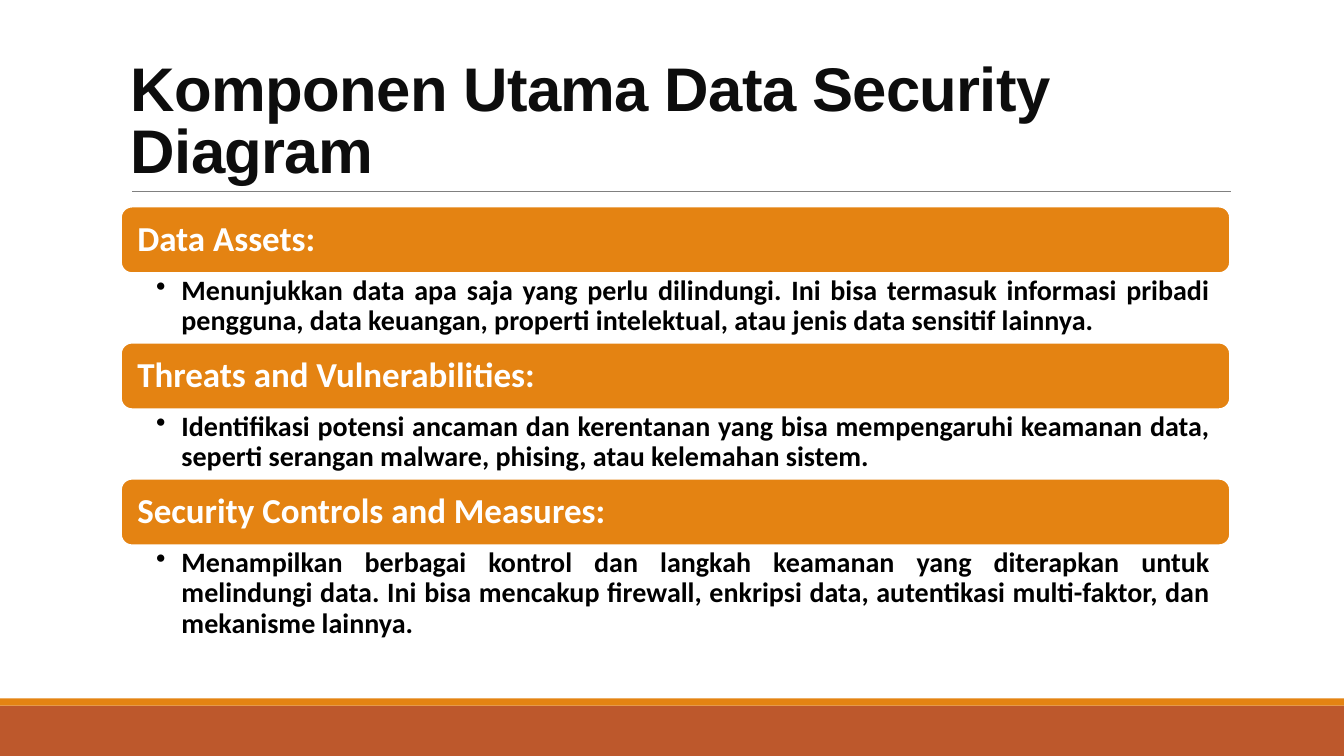
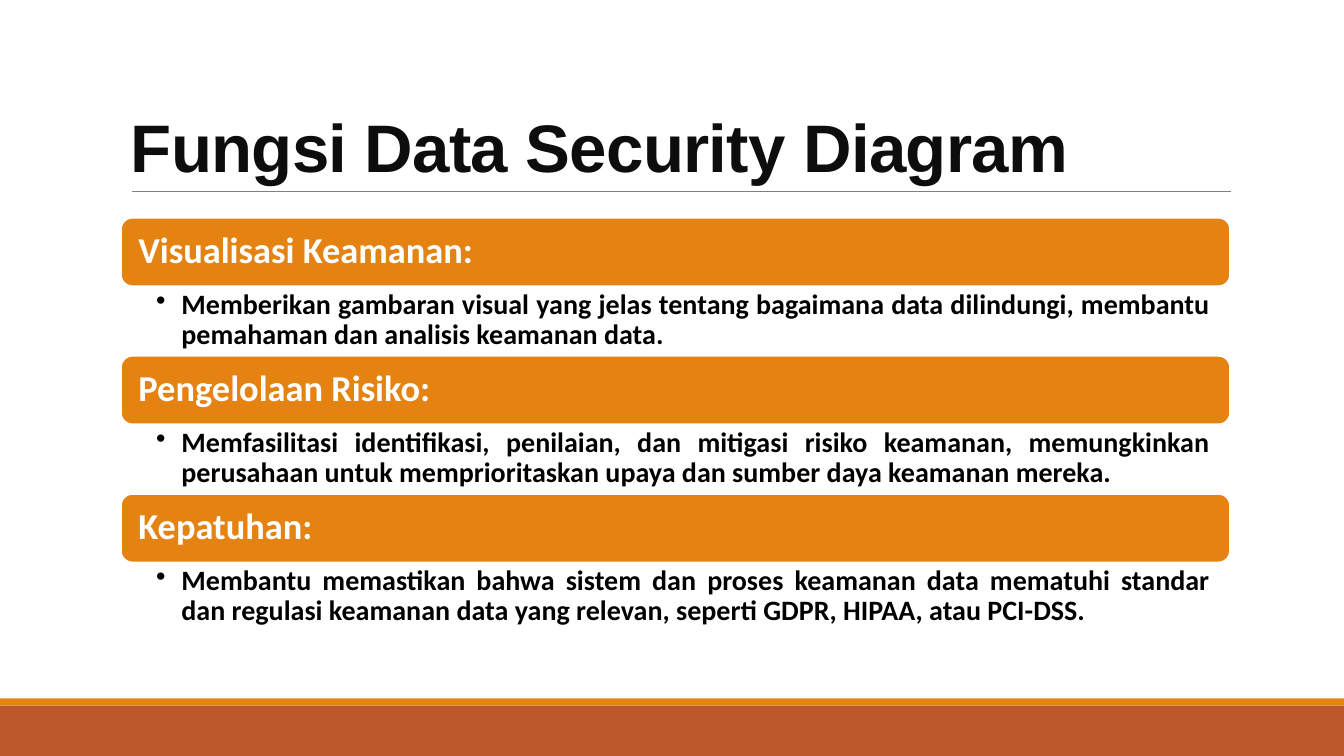
from lxml.etree import SubElement
from pptx import Presentation
from pptx.dml.color import RGBColor
from pptx.enum.shapes import MSO_CONNECTOR, MSO_SHAPE
from pptx.enum.text import MSO_ANCHOR, PP_ALIGN
from pptx.oxml.ns import qn
from pptx.util import Inches, Pt

COLORS = {
    "rust": "BD582C",
    "orange": "E48312",
    "rule": "808080",
    "title": "0D0D0D",
    "text": "000000",
    "white": "FFFFFF",
}
LEFT, WIDTH = 1.2, 11
LINE = 0.3  # height of one line of body text
PAD = 0.09  # body height beyond its lines


def rgb(name):
    return RGBColor.from_string(COLORS[name])


class Deck:
    """Holds the shared style and the current slide."""

    def __init__(self):
        self.prs = Presentation()
        self.prs.slide_width = Inches(13.33)
        self.prs.slide_height = Inches(7.5)
        self.slide = None

    def start(self, title, size):
        """Adds a slide with its bands, rule and title."""
        self.slide = self.prs.slides.add_slide(self.prs.slide_layouts[6])
        self.block(MSO_SHAPE.RECTANGLE, 0, 7, 13.33, 0.5, "rust")
        self.block(MSO_SHAPE.RECTANGLE, 0, 6.93, 13.33, 0.07, "orange")
        self.rule(1.31, 12.21, 1.9)
        frame = self.box(LEFT, 0.31, WIDTH, 1.59).text_frame
        self.setup(frame, MSO_ANCHOR.BOTTOM, (0.1, 0.05, 0.1, 0.05))
        run = self.label(frame, title, "Arial", size, "title", 0.85)
        run._r.get_or_add_rPr().set("spc", "-50")

    def block(self, kind, x, y, w, h, fill):
        shape = self.slide.shapes.add_shape(
            kind, Inches(x), Inches(y), Inches(w), Inches(h))
        shape.shadow.inherit = False
        shape.fill.solid()
        shape.fill.fore_color.rgb = rgb(fill)
        shape.line.fill.background()
        return shape

    def rule(self, x1, x2, y):
        line = self.slide.shapes.add_connector(
            MSO_CONNECTOR.STRAIGHT, Inches(x1), Inches(y), Inches(x2), Inches(y))
        line.line.color.rgb = rgb("rule")
        line.line.width = Pt(0.5)
        SubElement(line._element.spPr, qn("a:effectLst"))

    def box(self, x, y, w, h):
        return self.slide.shapes.add_textbox(
            Inches(x), Inches(y), Inches(w), Inches(h))

    def setup(self, frame, anchor, pads):
        """Sets wrapping, anchor and left, top, right, bottom insets."""
        frame.word_wrap = True
        frame.vertical_anchor = anchor
        (frame.margin_left, frame.margin_top,
         frame.margin_right, frame.margin_bottom) = map(Inches, pads)

    def label(self, frame, text, font, size, color, spacing=0.9,
              align=PP_ALIGN.LEFT):
        """Adds a styled run to the first paragraph of a frame."""
        par = frame.paragraphs[0]
        par.alignment = align
        par.line_spacing = spacing
        run = par.add_run()
        run.text = text
        run.font.name = font
        run.font.size = Pt(size)
        run.font.bold = True
        run.font.color.rgb = rgb(color)
        return run

    def header(self, text, y, h, size, inset):
        bar = self.block(
            MSO_SHAPE.ROUNDED_RECTANGLE, LEFT, y, WIDTH, h, "orange")
        bar.line.color.rgb = rgb("white")
        bar.line.width = Pt(1.25)
        self.setup(bar.text_frame, MSO_ANCHOR.MIDDLE, (inset, 0.1, inset, 0.1))
        self.label(bar.text_frame, text, "Calibri", size, "white")

    def bullet(self, text, y, h, edge):
        frame = self.box(LEFT, y, WIDTH, h).text_frame
        self.setup(frame, MSO_ANCHOR.TOP, (0.35, edge, 0.2, edge))
        par = frame.paragraphs[0]
        par.level = 1
        props = par._p.get_or_add_pPr()
        props.set("marL", str(Inches(0.25)))
        props.set("indent", str(Inches(-0.25)))
        SubElement(props, qn("a:buChar")).set("char", "•")
        self.label(frame, text, "Calibri", 20, "text", align=PP_ALIGN.JUSTIFY)

    def stack(self, items, top, bar, size, inset, edge):
        """Stacks headers, each followed by its bullet."""
        y = top
        for head, body, lines in items:
            self.header(head, y, bar, size, inset)
            h = lines * LINE + PAD
            self.bullet(body, y + bar, h, edge)
            y += bar + h


PARTS = [
    ("Data Assets:",
     "Menunjukkan data apa saja yang perlu dilindungi. Ini bisa termasuk "
     "informasi pribadi pengguna, data keuangan, properti intelektual, atau "
     "jenis data sensitif lainnya.", 2),
    ("Threats and Vulnerabilities:",
     "Identifikasi potensi ancaman dan kerentanan yang bisa mempengaruhi "
     "keamanan data, seperti serangan malware, phising, atau kelemahan "
     "sistem.", 2),
    ("Security Controls and Measures:",
     "Menampilkan berbagai kontrol dan langkah keamanan yang diterapkan untuk "
     "melindungi data. Ini bisa mencakup firewall, enkripsi data, autentikasi "
     "multi-faktor, dan mekanisme lainnya.", 3),
]
ROLES = [
    ("Visualisasi Keamanan:",
     "Memberikan gambaran visual yang jelas tentang bagaimana data dilindungi, "
     "membantu pemahaman dan analisis keamanan data.", 2),
    ("Pengelolaan Risiko:",
     "Memfasilitasi identifikasi, penilaian, dan mitigasi risiko keamanan, "
     "memungkinkan perusahaan untuk memprioritaskan upaya dan sumber daya "
     "keamanan mereka.", 2),
    ("Kepatuhan:",
     "Membantu memastikan bahwa sistem dan proses keamanan data mematuhi "
     "standar dan regulasi keamanan data yang relevan, seperti GDPR, HIPAA, "
     "atau PCI-DSS.", 2),
]


def main():
    deck = Deck()
    deck.start("Komponen Utama Data Security Diagram", 44)
    deck.stack(PARTS, top=2.05, bar=0.66, size=25, inset=0.13, edge=0.03)
    deck.start("Fungsi Data Security Diagram", 48)
    deck.stack(ROLES, top=2.16, bar=0.68, size=26, inset=0.14, edge=0.04)
    deck.prs.save("out.pptx")


if __name__ == "__main__":
    main()
